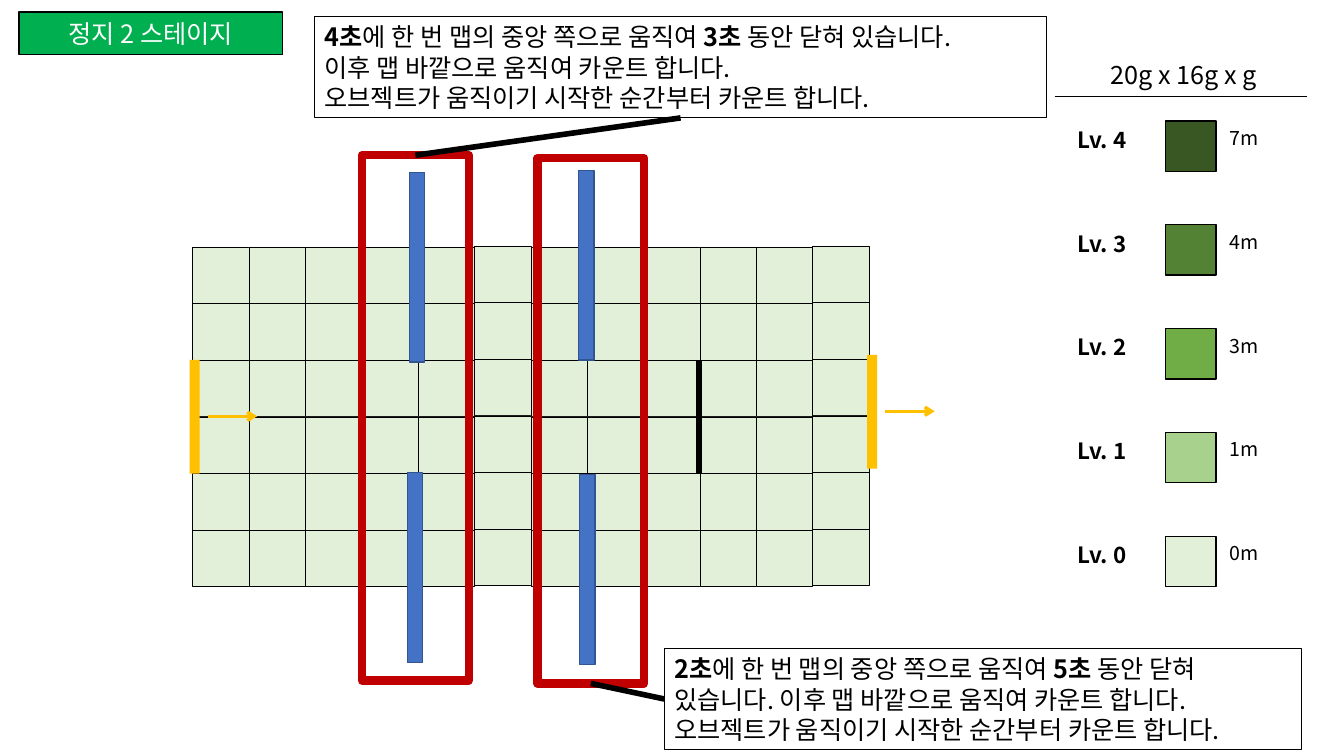
from lxml.etree import SubElement
from pptx import Presentation
from pptx.dml.color import RGBColor
from pptx.enum.shapes import MSO_CONNECTOR, MSO_SHAPE
from pptx.enum.text import MSO_ANCHOR, MSO_AUTO_SIZE, PP_ALIGN
from pptx.oxml.ns import qn
from pptx.util import Inches, Pt

FONT = "Noto Sans CJK KR"
BLACK, WHITE, GREEN = "000000", "FFFFFF", "00B050"
AMBER, BLUE, NAVY, RED = "FFC000", "4472C4", "325491", "C00000"
FLOOR = "E2F0D9"
LEVELS = [  # label, height, colour
    ("Lv. 4", "7m", "385723"),
    ("Lv. 3", "4m", "548235"),
    ("Lv. 2", "3m", "70AD47"),
    ("Lv. 1", "1m", "A9D18E"),
    ("Lv. 0", "0m", FLOOR),
]
COUNTING = "오브젝트가 움직이기 시작한 순간부터 카운트 합니다."
TOP_NOTE = [
    [("4초", True), ("에 한 번 맵의 중앙 쪽으로 움직여 ", False),
     ("3초", True), (" 동안 닫혀 있습니다.", False)],
    [("이후 맵 바깥으로 움직여 카운트 합니다.", False)],
    [(COUNTING, False)],
]
BOTTOM_NOTE = [
    [("2초", True), ("에 한 번 맵의 중앙 쪽으로 움직여 ", False),
     ("5초", True), (" 동안 닫혀", False)],
    [("있습니다. 이후 맵 바깥으로 움직여 카운트 합니다.", False)],
    [(COUNTING, False)],
]


def rgb(value):
    return RGBColor.from_string(value)


def write(frame, paragraphs, size=18, color=BLACK, align=PP_ALIGN.LEFT):
    """Fill a text frame with paragraphs, each a list of (text, bold) runs."""
    for index, runs in enumerate(paragraphs):
        paragraph = frame.paragraphs[0] if index == 0 else frame.add_paragraph()
        paragraph.alignment = align
        for text, bold in runs:
            run = paragraph.add_run()
            run.text = text
            run.font.size = Pt(size)
            run.font.bold = bold
            run.font.color.rgb = rgb(color)
            run.font.name = FONT
            SubElement(run.font._element, qn("a:ea"), typeface=FONT)


class StageSlide:
    """Holds the slide and draws each kind of element in its style."""

    def __init__(self, deck):
        self.slide = deck.slides.add_slide(deck.slide_layouts[5])

    def paint(self, shape, fill, line, width):
        if fill:
            shape.fill.solid()
            shape.fill.fore_color.rgb = rgb(fill)
        else:
            shape.fill.background()
        if line:
            shape.line.color.rgb = rgb(line)
            shape.line.width = Pt(width)
        else:
            shape.line.fill.background()

    def title(self, text, x, y, w, h):
        badge = self.slide.shapes.title
        badge.left, badge.top, badge.width, badge.height = map(Inches, (x, y, w, h))
        outline = SubElement(badge._element.spPr, qn("a:prstGeom"), prst="roundRect")
        SubElement(outline, qn("a:avLst"))
        self.paint(badge, GREEN, BLACK, 1)
        frame = badge.text_frame
        frame.auto_size = MSO_AUTO_SIZE.NONE
        frame.vertical_anchor = MSO_ANCHOR.MIDDLE
        write(frame, [[(text, False)]], color=WHITE, align=PP_ALIGN.CENTER)

    def rect(self, x, y, w, h, fill=None, line=None, width=1):
        shape = self.slide.shapes.add_shape(
            MSO_SHAPE.RECTANGLE, Inches(x), Inches(y), Inches(w), Inches(h))
        shape.shadow.inherit = False
        self.paint(shape, fill, line, width)
        return shape

    def note(self, paragraphs, x, y, w, h):
        box = self.rect(x, y, w, h, line=BLACK, width=0.75)
        write(box.text_frame, paragraphs)
        return box

    def label(self, text, x, y, w, h, bold=False, **style):
        frame = self.slide.shapes.add_textbox(
            Inches(x), Inches(y), Inches(w), Inches(h)).text_frame
        frame.word_wrap = True
        write(frame, [[(text, bold)]], **style)

    def line(self, x1, y1, x2, y2, color=BLACK, width=4, arrow=False):
        connector = self.slide.shapes.add_connector(
            MSO_CONNECTOR.STRAIGHT, Inches(x1), Inches(y1), Inches(x2), Inches(y2))
        connector.line.color.rgb = rgb(color)
        connector.line.width = Pt(width)
        if arrow:
            SubElement(connector.line._get_or_add_ln(), qn("a:tailEnd"), type="arrow")
        SubElement(connector._element.spPr, qn("a:effectLst"))
        return connector

    def join(self, start, start_side, end, end_side):
        leader = self.line(0, 0, 1, 1)
        leader.begin_connect(start, start_side)
        leader.end_connect(end, end_side)

    def legend(self):
        self.label("20g x 16g x g", 10.64, 0.54, 2.2, 0.4, align=PP_ALIGN.CENTER)
        self.line(10.46, 0.96, 12.96, 0.96, width=1)
        for row, (level, height, color) in enumerate(LEVELS):
            top = 1.2 + 1.03 * row
            self.rect(11.56, top, 0.5, 0.5, color, BLACK)
            self.label(height, 12.1, top, 0.71, 0.33, size=14)
            self.label(level, 10.59, top, 1.07, 0.36, bold=True, size=16)

    def floor(self, columns=12, rows=6, cell=0.56):
        for row in range(rows):
            for column in range(columns):
                lift = 0.01 if column % 6 == 5 else 0  # last column of each half
                self.rect(1.91 + 6.15 / 11 * column, 2.45 + 2.81 / 5 * row - lift,
                          cell, cell, FLOOR, BLACK, 0.25)

    def doorway(self, x, y):
        self.rect(x, y, 0.1, 1.13, AMBER)
        self.line(x + 0.18, y + 0.56, x + 0.67, y + 0.56, AMBER, 2.25, arrow=True)


def main():
    deck = Presentation()
    deck.slide_width, deck.slide_height = Inches(13.33), Inches(7.5)
    stage = StageSlide(deck)
    stage.title("정지 2 스테이지", 0.19, 0.12, 2.61, 0.42)
    stage.legend()
    stage.floor()
    stage.line(6.93, 4.69, 6.93, 3.57)
    stage.doorway(8.6, 3.52)
    stage.doorway(1.88, 3.57)
    for x, y in [(5.74, 1.69), (5.75, 4.71), (4.04, 4.69), (4.06, 1.71)]:
        stage.rect(x, y, 0.15, 1.88, BLUE, NAVY)
    left_gate, right_gate = [
        stage.rect(x, y, 1.06, 5.21, line=RED, width=6)
        for x, y in [(3.59, 1.54), (5.33, 1.57)]]
    top_note = stage.note(TOP_NOTE, 3.12, 0.16, 7.26, 1.01)
    bottom_note = stage.note(BOTTOM_NOTE, 6.59, 6.43, 6.32, 1.01)
    stage.join(left_gate, 0, top_note, 2)
    stage.join(right_gate, 2, bottom_note, 1)
    deck.save("out.pptx")


if __name__ == "__main__":
    main()
